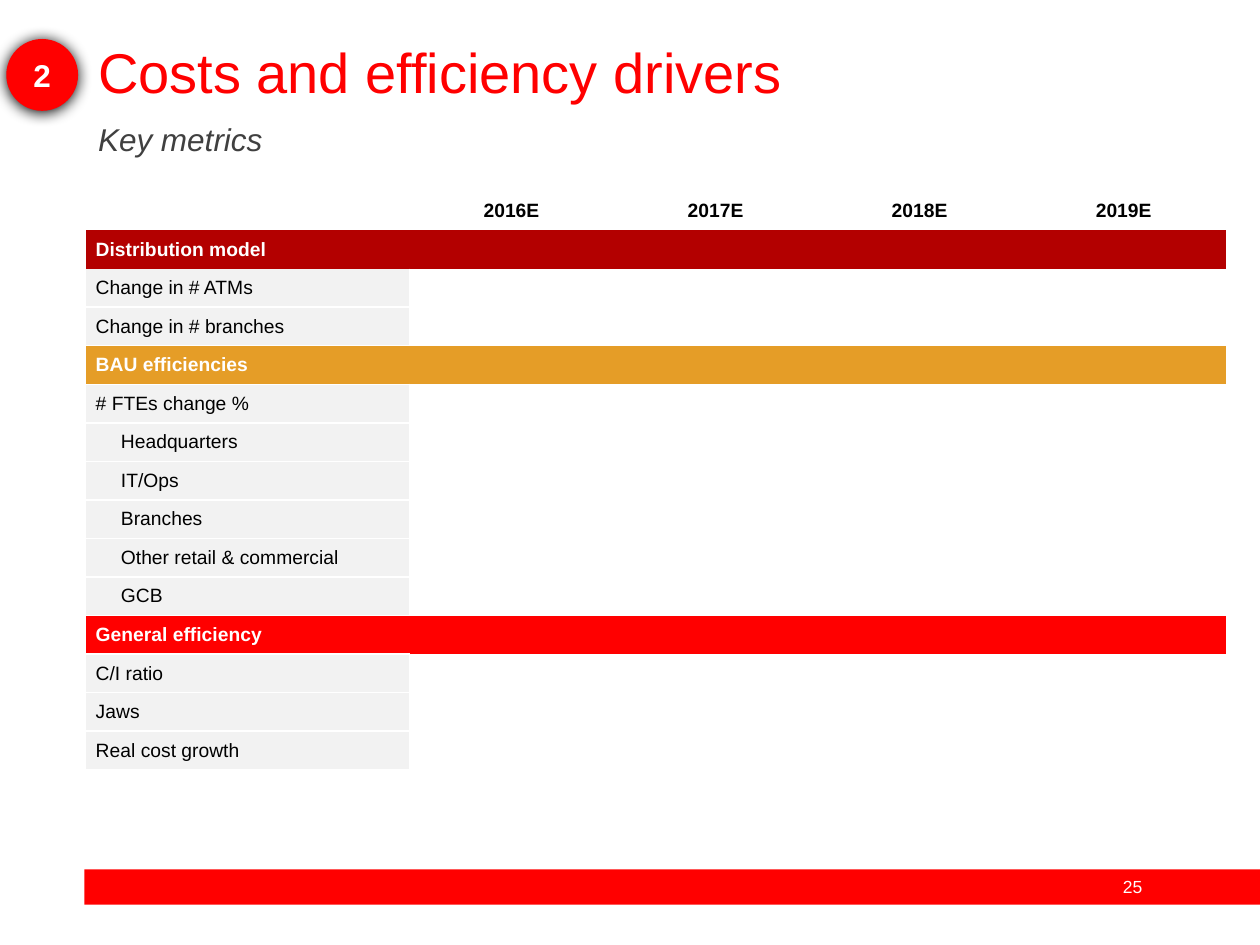
import pptx
import pptx.dml.color
import pptx.enum.shapes
import pptx.enum.text
import pptx.oxml
import pptx.oxml.ns
import pptx.util

Inches = pptx.util.Inches
Pt = pptx.util.Pt
PP_ALIGN = pptx.enum.text.PP_ALIGN
ANCHOR = pptx.enum.text.MSO_ANCHOR
SHAPE = pptx.enum.shapes.MSO_SHAPE

COLORS = {
    "red": "FF0000",
    "dark_red": "B30000",
    "amber": "E59D27",
    "label": "F2F2F2",
    "grey": "404040",
    "black": "000000",
    "white": "FFFFFF",
}
NO_GRID_STYLE = "{2D5ABB26-0587-4C30-8999-92F81FD0307C}"
YEARS = ["2016E", "2017E", "2018E", "2019E"]
SECTIONS = [
    ("Distribution model", "dark_red",
     [("Change in # ATMs", 0), ("Change in # branches", 0)]),
    ("BAU efficiencies", "amber",
     [("# FTEs change %", 0), ("Headquarters", 1), ("IT/Ops", 1),
      ("Branches", 1), ("Other retail & commercial", 1), ("GCB", 1)]),
    ("General efficiency", "red",
     [("C/I ratio", 0), ("Jaws", 0), ("Real cost growth", 0)]),
]


def rgb(name):
    return pptx.dml.color.RGBColor.from_string(COLORS[name])


def xml(body):
    ns = pptx.oxml.ns.nsdecls("a")
    tag, rest = body[:-1].split(None, 1)
    return pptx.oxml.parse_xml(f"{tag} {ns} {rest}>")


def write(tf, text, size, color, bold=False, italic=False, align=PP_ALIGN.LEFT):
    tf.text = text
    p = tf.paragraphs[0]
    p.alignment = align
    font = p.runs[0].font
    font.name = "Arial"
    font.size = Pt(size)
    font.bold = bold
    font.italic = italic
    font.color.rgb = rgb(color)
    return p


def add_text(s, box, text, size, color, **style):
    tf = s.shapes.add_textbox(*map(Inches, box)).text_frame
    tf.word_wrap = True
    return write(tf, text, size, color, **style)


def add_filled(s, kind, box, color):
    sp = s.shapes.add_shape(kind, *map(Inches, box))
    sp.shadow.inherit = False
    sp.fill.solid()
    sp.fill.fore_color.rgb = rgb(color)
    sp.line.fill.background()
    return sp


def add_badge(s, box, text):
    sp = add_filled(s, SHAPE.OVAL, box, "red")
    effects = sp._element.spPr.find(pptx.oxml.ns.qn("a:effectLst"))
    effects.append(xml(
        f'<a:outerShdw blurRad="{Pt(8.5)}" dist="{Pt(1)}" dir="5400000" '
        f'algn="ctr" rotWithShape="0"><a:srgbClr val="{COLORS["black"]}"/></a:outerShdw>'))
    sp.text_frame.vertical_anchor = ANCHOR.MIDDLE
    write(sp.text_frame, text, 18, "white", bold=True, align=PP_ALIGN.CENTER)


def fill_cell(cell, color):
    cell.fill.solid()
    cell.fill.fore_color.rgb = rgb(color)


def set_borders(cell, sides):
    tcPr = cell._tc.get_or_add_tcPr()
    for i, side in enumerate(sides):
        tcPr.insert(i, xml(
            f'<a:ln{side} w="{Pt(1)}"><a:solidFill>'
            f'<a:srgbClr val="{COLORS["white"]}"/></a:solidFill></a:ln{side}>'))


def clear_cell(cell):
    cell.fill.background()
    cell.margin_left = cell.margin_right = cell.margin_top = cell.margin_bottom = 0
    cell.vertical_anchor = ANCHOR.MIDDLE
    cell.text_frame.paragraphs[0]._p.append(xml('<a:endParaRPr sz="1100"/>'))


def write_cell(cell, text, color, bold, align=PP_ALIGN.LEFT, left=0.0):
    cell.margin_left = Inches(left)
    return write(cell.text_frame, text, 11, color, bold=bold, align=align)


def add_band(table, row, text, color):
    for cell in table.rows[row].cells:
        fill_cell(cell, color)
    cell = table.cell(row, 0)
    write_cell(cell, text, "white", True, left=0.08)
    if row > 1:
        set_borders(cell, "T")


def add_metric(table, row, text, level, first):
    cell = table.cell(row, 0)
    fill_cell(cell, "label")
    p = write_cell(cell, text, "black", False, left=0.08)
    if level:
        p.level = level
        pPr = p._p.get_or_add_pPr()
        pPr.set("marL", str(Inches(0.2)))
        pPr.set("indent", "0")
    set_borders(cell, "LRB" if first else "LRTB")


def add_metrics_table(s):
    n_rows = 1 + sum(1 + len(metrics) for _, _, metrics in SECTIONS)
    row_height = 4.59 / n_rows
    frame = s.shapes.add_table(n_rows, 1 + len(YEARS), Inches(0.68), Inches(1.52),
                               Inches(9.05), Inches(4.59))
    table = frame.table
    table.first_row = table.horz_banding = False
    table._tbl.tblPr.find(pptx.oxml.ns.qn("a:tableStyleId")).text = NO_GRID_STYLE
    for i, column in enumerate(table.columns):
        column.width = Inches(1.62 if i else 2.57)
    for row in table.rows:
        row.height = Inches(row_height)
        for cell in row.cells:
            clear_cell(cell)
    for i, year in enumerate(YEARS, 1):
        write_cell(table.cell(0, i), year, "black", True, align=PP_ALIGN.CENTER)
    row = 1
    for heading, color, metrics in SECTIONS:
        add_band(table, row, heading, color)
        for i, (text, level) in enumerate(metrics, 1):
            add_metric(table, row + i, text, level, first=i == 1)
        row += 1 + len(metrics)


def main():
    prs = pptx.Presentation()
    prs.slide_width = Inches(10)
    prs.slide_height = Inches(7.5)
    s = prs.slides.add_slide(prs.slide_layouts[6])
    add_filled(s, SHAPE.RECTANGLE, (0.67, 6.9, 9.33, 0.28), "red")
    add_text(s, (8.71, 6.9, 0.56, 0.27), "25", 10, "white", align=PP_ALIGN.CENTER)
    title = add_text(s, (0.68, 0.31, 9.32, 0.57), "Costs and efficiency drivers", 32, "red")
    subtitle = add_text(s, (0.68, 0.94, 8.63, 0.41), "Key metrics", 18, "grey", italic=True)
    for p in (title, subtitle):
        p.line_spacing = 0.9
    add_metrics_table(s)
    add_badge(s, (0.05, 0.31, 0.57, 0.57), "2")
    prs.save("out.pptx")


if __name__ == "__main__":
    main()
